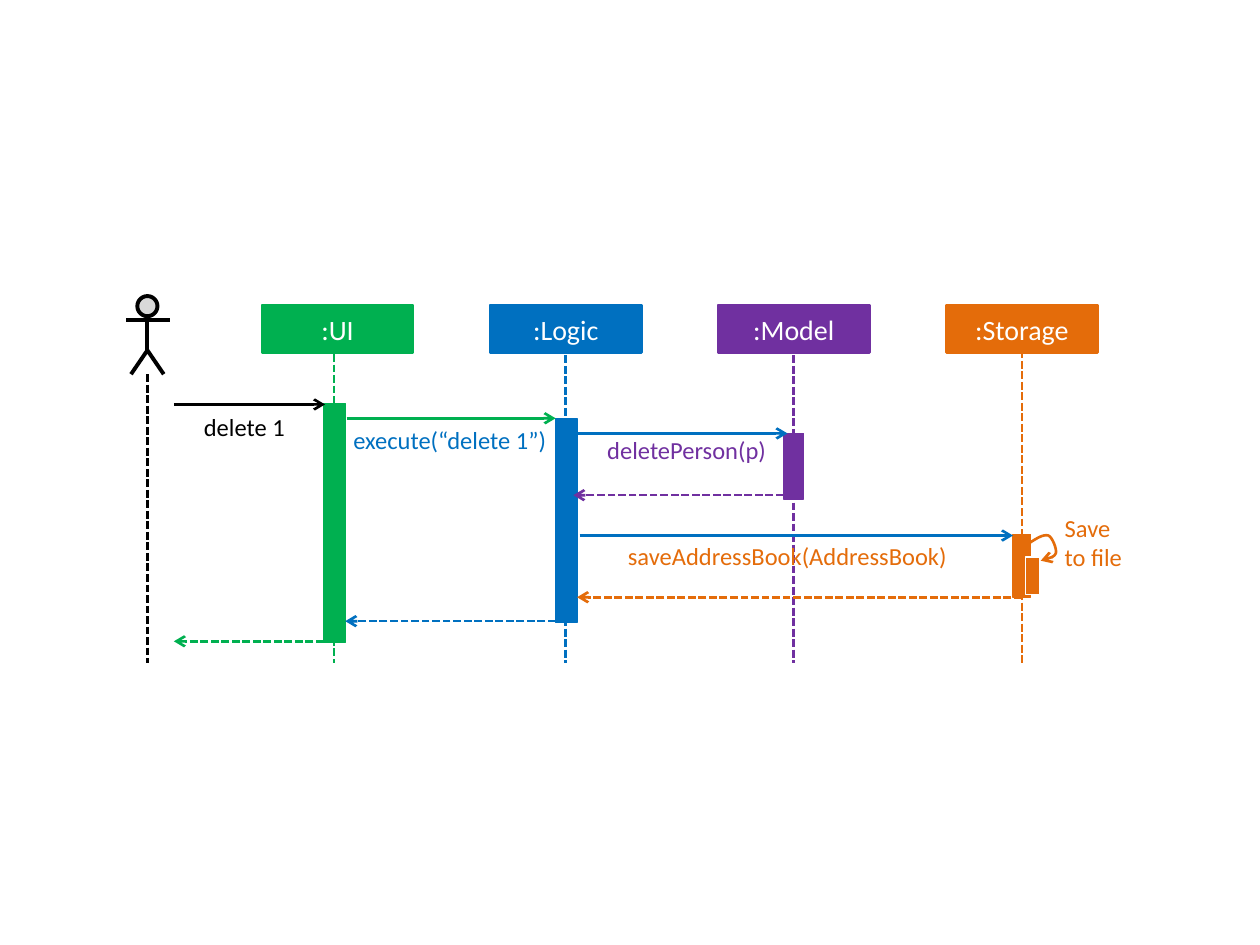
from dataclasses import dataclass

from lxml.etree import SubElement
from pptx import Presentation
from pptx.dml.color import RGBColor as Color
from pptx.enum.dml import MSO_LINE as Dash
from pptx.enum.shapes import MSO_CONNECTOR as Connector, MSO_SHAPE as Shape
from pptx.enum.text import MSO_ANCHOR as Anchor, PP_ALIGN as Align
from pptx.oxml.ns import qn
from pptx.util import Inches, Pt


@dataclass(frozen=True)
class Theme:
    font: str = "Calibri"
    title_size: int = 16
    label_size: int = 14
    black: str = "000000"
    white: str = "FFFFFF"
    head: str = "D9D9D9"
    ui: str = "00B050"
    logic: str = "0070C0"
    model: str = "7030A0"
    storage: str = "E46C0A"


theme = Theme()
presentation = Presentation()
presentation.slide_width = Inches(10)
presentation.slide_height = Inches(7.5)
slide = presentation.slides.add_slide(presentation.slide_layouts[6])
shapes = slide.shapes


def add_block(kind, box, fill, outline, width):
    shape = shapes.add_shape(kind, *map(Inches, box))
    shape.shadow.inherit = False
    shape.fill.solid()
    shape.fill.fore_color.rgb = Color.from_string(fill)
    shape.line.color.rgb = Color.from_string(outline)
    shape.line.width = Pt(width)
    return shape


def add_line(start, end, color, width=1.5, dashed=False, arrow=False):
    points = map(Inches, (*start, *end))
    line = shapes.add_connector(Connector.STRAIGHT, *points)
    line.line.color.rgb = Color.from_string(color)
    line.line.width = Pt(width)
    if dashed:
        line.line.dash_style = Dash.SQUARE_DOT
    if arrow:
        SubElement(line.line._get_or_add_ln(), qn("a:tailEnd"), type="arrow")
    SubElement(line._element.spPr, qn("a:effectLst"))


actor_x, lifeline_bottom = 1.17, 5.26
add_block(Shape.FLOWCHART_CONNECTOR, (1.09, 2.35, 0.16, 0.16), theme.head, theme.black, 2.25)
add_line((actor_x, 2.5), (actor_x, 2.78), theme.black, 2.25)
add_line((1, 2.54), (1.35, 2.54), theme.black, 2.25)
add_line((actor_x, 2.97), (actor_x, lifeline_bottom), theme.black, dashed=True)

components = [
    (":UI", theme.ui, 2.08, 2.65, 2.81, (2.57, 3.2, 0.17, 1.9)),
    (":Logic", theme.logic, 3.89, 4.49, 2.82, (4.41, 3.32, 0.17, 1.62)),
    (":Model", theme.model, 5.7, 6.3, 2.82, (6.22, 3.44, 0.16, 0.52)),
    (":Storage", theme.storage, 7.51, 8.11, 2.78, (8.04, 4.24, 0.14, 0.5)),
]
for name, color, left, lifeline_x, lifeline_top, activation in components:
    header = add_block(Shape.RECTANGLE, (left, 2.42, 1.2, 0.38), color, color, 1.5)
    header.text_frame.text = name
    header.text_frame.vertical_anchor = Anchor.MIDDLE
    paragraph = header.text_frame.paragraphs[0]
    paragraph.alignment = Align.CENTER
    paragraph.font.name = theme.font
    paragraph.font.size = Pt(theme.title_size)
    paragraph.font.color.rgb = Color.from_string(theme.white)
    add_line((lifeline_x, lifeline_top), (lifeline_x, lifeline_bottom), color, dashed=True)
    add_block(Shape.RECTANGLE, activation, color, color, 0.75)

messages = [
    (1.38, 2.58, 3.21, theme.black, False),
    (2.75, 4.41, 3.32, theme.ui, False),
    (4.57, 6.25, 3.44, theme.logic, False),
    (6.22, 4.55, 3.93, theme.model, True),
    (4.6, 8.04, 4.25, theme.logic, False),
    (8.11, 4.58, 4.74, theme.storage, True),
    (4.41, 2.74, 4.93, theme.logic, True),
    (2.57, 1.38, 5.09, theme.ui, True),
]
for start_x, end_x, y, color, is_reply in messages:
    add_line((start_x, y), (end_x, y), color, dashed=is_reply, arrow=True)

add_block(Shape.RECTANGLE, (8.14, 4.42, 0.11, 0.3), theme.storage, theme.white, 0.75)

curves = [
    ((8.17, 4.31), (8.23, 4.27), (8.28, 4.24), (8.32, 4.25)),
    ((8.32, 4.25), (8.35, 4.26), (8.39, 4.36), (8.38, 4.39)),
    ((8.38, 4.39), (8.37, 4.42), (8.32, 4.44), (8.26, 4.45)),
]
steps = 8
loop_points = [curves[0][0]]
for curve in curves:
    for step in range(1, steps + 1):
        t = step / steps
        weights = ((1 - t) ** 3, 3 * t * (1 - t) ** 2, 3 * t**2 * (1 - t), t**3)
        loop_points.append(
            tuple(sum(w * p[axis] for w, p in zip(weights, curve)) for axis in (0, 1))
        )
legs = [(1.04, 2.97), (actor_x, 2.78), (1.3, 2.97)]
outlines = [(legs, theme.black, 2.25, False), (loop_points, theme.storage, 1.5, True)]
for points, color, width, has_arrow in outlines:
    first, *rest = [(Inches(x), Inches(y)) for x, y in points]
    builder = shapes.build_freeform(*first)
    builder.add_line_segments(rest, close=False)
    outline = builder.convert_to_shape()
    outline.shadow.inherit = False
    outline.fill.background()
    outline.line.color.rgb = Color.from_string(color)
    outline.line.width = Pt(width)
    if has_arrow:
        SubElement(outline.line._get_or_add_ln(), qn("a:tailEnd"), type="arrow")

labels = [
    ("delete 1", (1.47, 3.27, 0.94, 0.24), theme.black, Align.CENTER),
    ("execute(“delete 1”)", (2.79, 3.37, 1.56, 0.24), theme.logic, Align.CENTER),
    ("deletePerson(p)", (4.78, 3.45, 1.34, 0.24), theme.model, Align.CENTER),
    ("saveAddressBook(AddressBook)", (4.9, 4.29, 2.7, 0.24), theme.storage, Align.CENTER),
    ("Save \vto file", (8.45, 4.07, 0.59, 0.47), theme.storage, Align.LEFT),
]
for text, box, color, alignment in labels:
    frame = shapes.add_textbox(*map(Inches, box)).text_frame
    frame.word_wrap = True
    frame.margin_left = frame.margin_right = frame.margin_top = frame.margin_bottom = 0
    frame.text = text
    paragraph = frame.paragraphs[0]
    paragraph.alignment = alignment
    paragraph.font.name = theme.font
    paragraph.font.size = Pt(theme.label_size)
    paragraph.font.color.rgb = Color.from_string(color)

presentation.save("out.pptx")
